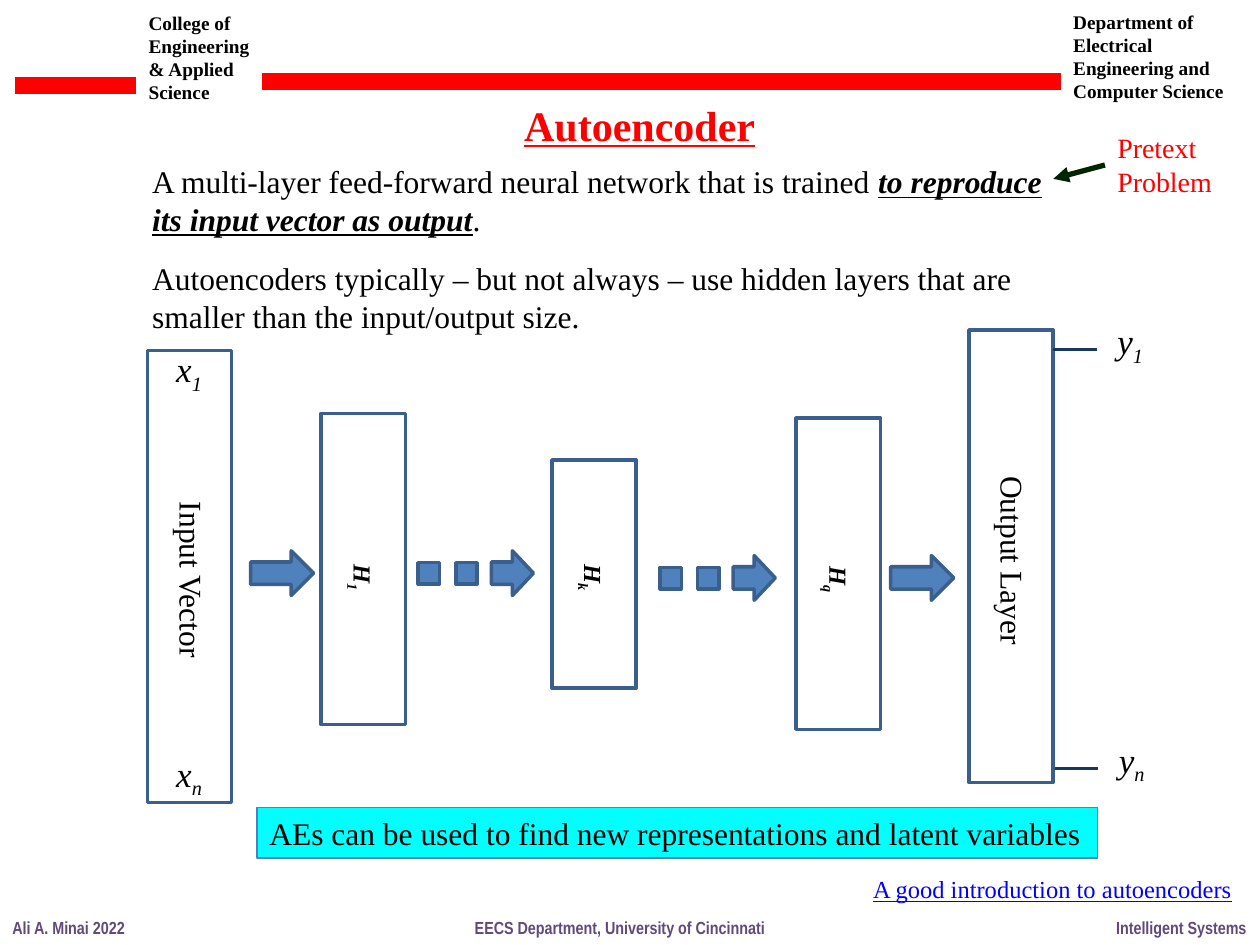
"""Build the Autoencoder lecture slide."""
from dataclasses import dataclass

from lxml import etree
from pptx import Presentation
from pptx import util as u
from pptx.dml.color import RGBColor
from pptx.enum import shapes, text
from pptx.oxml import ns

Pt = u.Pt


@dataclass(frozen=True)
class Theme:
    serif: str = "Times New Roman"
    narrow: str = "Arial Narrow"
    ink: str = "000000"
    red: str = "FF0000"
    footer: str = "604A7B"
    link: str = "0000FF"
    outline: str = "3A5F8C"
    block: str = "4F81BD"
    cyan: str = "00FFFF"
    stub: str = "17375E"
    pointer: str = "002600"
    title_size: float = 24
    symbol_size: float = 20
    body_size: float = 18
    callout_size: float = 16
    small_size: float = 14
    header_size: float = 11
    footer_size: float = 10


@dataclass(frozen=True)
class Span:
    text: str
    strong: bool = False
    sub: bool = False


@dataclass(frozen=True)
class Style:
    size: float
    color: str = "000000"
    font: str = "Times New Roman"
    bold: bool = False
    italic: bool = False
    underline: bool = False


@dataclass(frozen=True)
class Box:
    left: float
    top: float
    width: float
    height: float

    def lengths(self) -> tuple:
        return Pt(self.left), Pt(self.top), Pt(self.width), Pt(self.height)


@dataclass(frozen=True)
class Layer:
    box: Box
    label: list
    label_box: Box
    style: Style


@dataclass(frozen=True)
class Flow:
    left: float
    top: float
    dotted: bool


THEME = Theme()
HEADER = Style(THEME.header_size, bold=True)
FOOTER = Style(THEME.footer_size, THEME.footer, THEME.narrow, bold=True)
TITLE = Style(THEME.title_size, THEME.red, bold=True, underline=True)
BODY = Style(THEME.body_size)
SYMBOL = Style(THEME.symbol_size, italic=True)
HIDDEN = Style(THEME.small_size, bold=True, italic=True)
CALLOUT = Style(THEME.callout_size, THEME.red)
LINK = Style(THEME.small_size, THEME.link, underline=True)
LAYER_WIDTH = 48.2


def indexed(letter: str, index: str) -> list:
    """Return one paragraph holding a letter and its subscript."""
    return [[Span(letter), Span(index, sub=True)]]


def plain(*lines: str) -> list:
    """Return one single-span paragraph per line."""
    return [[Span(line)] for line in lines]


def write(frame, paragraphs: list, style: Style, wrap: bool = False, gap: float = 0) -> None:
    """Fill a text frame with styled paragraphs."""
    frame.word_wrap = wrap
    frame.auto_size = text.MSO_AUTO_SIZE.SHAPE_TO_FIT_TEXT
    for number, spans in enumerate(paragraphs):
        paragraph = frame.add_paragraph() if number else frame.paragraphs[0]
        paragraph.text = spans[0].text
        paragraph.alignment = text.PP_ALIGN.LEFT
        if number and gap:
            paragraph.space_before = Pt(gap)
        for span in spans[1:]:
            paragraph.add_run().text = span.text
        for span, run in zip(spans, paragraph.runs):
            font = run.font
            font.name, font.size = style.font, Pt(style.size)
            font.color.rgb = RGBColor.from_string(style.color)
            font.bold = style.bold or span.strong
            font.italic = style.italic or span.strong
            font.underline = style.underline or span.strong
            if span.sub:
                run._r.get_or_add_rPr().set("baseline", "-25000")


def add_text(slide, box: Box, paragraphs: list, style: Style, wrap: bool = False,
             gap: float = 0, rotation: float = 0) -> None:
    """Add a text box."""
    label = slide.shapes.add_textbox(*box.lengths())
    label.rotation = rotation
    write(label.text_frame, paragraphs, style, wrap, gap)


def add_block(slide, kind, box: Box, fill: str = "", line: str = THEME.outline, weight: float = 2):
    """Add an outlined preset shape, filled when a colour is given."""
    block = slide.shapes.add_shape(kind, *box.lengths())
    block.shadow.inherit = False
    if fill:
        block.fill.solid()
        block.fill.fore_color.rgb = RGBColor.from_string(fill)
    else:
        block.fill.background()
    block.line.color.rgb = RGBColor.from_string(line)
    block.line.width = Pt(weight)
    return block


def add_line(slide, start: tuple, end: tuple, color: str, weight: float, arrow: bool = False) -> None:
    """Add a straight line, with an arrowhead at its end on request."""
    line = slide.shapes.add_connector(shapes.MSO_CONNECTOR.STRAIGHT, *map(Pt, start + end))
    line.line.color.rgb = RGBColor.from_string(color)
    line.line.width = Pt(weight)
    if arrow:
        etree.SubElement(line.line._get_or_add_ln(), ns.qn("a:tailEnd"), type="triangle")
    etree.SubElement(line._element.spPr, ns.qn("a:effectLst"))


def add_layer(slide, layer: Layer) -> None:
    """Add a network layer with its turned label."""
    add_block(slide, shapes.MSO_SHAPE.RECTANGLE, layer.box)
    add_text(slide, layer.label_box, layer.label, layer.style, rotation=90)


def add_flow(slide, flow: Flow) -> None:
    """Add a block arrow, led by two squares when dotted."""
    width = 24 if flow.dotted else 36
    add_block(slide, shapes.MSO_SHAPE.RIGHT_ARROW, Box(flow.left, flow.top, width, 25.5), THEME.block)
    for offset in (41.8, 20.3) if flow.dotted else ():
        add_block(slide, shapes.MSO_SHAPE.RECTANGLE,
                  Box(flow.left - offset, flow.top + 6.8, 12.2, 12.2), THEME.block)


def add_frame(slide) -> None:
    """Add the header texts, red bars and footer."""
    add_text(slide, Box(77.8, 2.9, 78.5, 60.5),
             plain("College of Engineering & Applied", "Science"), HEADER, wrap=True)
    add_text(slide, Box(606.2, 2.2, 105.8, 60.5),
             plain("Department of Electrical Engineering and Computer Science"), HEADER, wrap=True)
    for left, right, y in ((8.6, 77.8, 49), (149.8, 606.2, 46.6)):
        add_line(slide, (left, y), (right, y), THEME.red, 10)
    for left, width, note in ((0, 79.2, "Ali A. Minai 2022"),
                              (264.2, 181.4, "EECS Department, University of Cincinnati"),
                              (630.7, 89.3, "Intelligent Systems")):
        add_text(slide, Box(left, 520.6, width, 19.4), plain(note), FOOTER)


def add_network(slide) -> None:
    """Add the layers, the flows between them and the vector symbols."""
    for layer in (
        Layer(Box(84.2, 200.2, LAYER_WIDTH, 258.5), plain("Input Vector"),
              Box(56.9, 318.2, 105.8, 28.8), BODY),
        Layer(Box(553.7, 188.6, LAYER_WIDTH, 258.5), plain("Output Layer"),
              Box(522.7, 306.7, 112.3, 28.8), BODY),
        Layer(Box(183.6, 236.2, LAYER_WIDTH, 177.8), indexed("H", "1"),
              Box(192.2, 318.2, 30.2, 24.5), HIDDEN),
        Layer(Box(315.4, 262.8, LAYER_WIDTH, 130.3), indexed("H", "k"),
              Box(324, 318.2, 30.2, 24.5), HIDDEN),
        Layer(Box(455, 239, LAYER_WIDTH, 177.8), indexed("H", "q"),
              Box(463.7, 319.7, 31, 24.5), HIDDEN),
    ):
        add_layer(slide, layer)
    for flow in (Flow(143.2, 314.8, False), Flow(280.8, 314.8, True),
                 Flow(419, 317.5, True), Flow(509, 317.5, False)):
        add_flow(slide, flow)
    for letter, index, left, top in (("x", "1", 93.6, 195.1), ("x", "n", 93.6, 426.2),
                                     ("y", "1", 631.4, 179.3), ("y", "n", 632.2, 418.3)):
        add_text(slide, Box(left, top, 30.2, 31.7), indexed(letter, index), SYMBOL)
    for left, y in ((602, 199.8), (602.6, 439.2)):
        add_line(slide, (left, y), (left + 25, y), THEME.stub, 1.5)


def add_message(slide) -> None:
    """Add the title, definition, callout, conclusion and reference."""
    title = slide.shapes.title
    title.left, title.top, title.width, title.height = Box(292.3, 53.3, 147.6, 36).lengths()
    write(title.text_frame, plain("Autoencoder"), TITLE)
    title.text_frame.vertical_anchor = text.MSO_ANCHOR.TOP
    definition = [Span("A multi-layer feed-forward neural network that is trained "),
                  Span("to reproduce its input vector as output", strong=True), Span(".")]
    sizes = [Span("Autoencoders typically – but not always – use hidden layers "
                  "that are smaller than the input/output size.")]
    add_text(slide, Box(79.9, 89.3, 543.6, 106.6), [definition, sizes], BODY, wrap=True, gap=12)
    add_text(slide, Box(631.4, 71.3, 69.1, 46.1), plain("Pretext", "Problem"), CALLOUT)
    add_line(slide, (631.4, 94.3), (601.9, 102.2), THEME.pointer, 3, arrow=True)
    conclusion = add_block(slide, shapes.MSO_SHAPE.RECTANGLE, Box(146.9, 461.5, 480.2, 28.8),
                           THEME.cyan, THEME.block, 0.75)
    write(conclusion.text_frame,
          plain("AEs can be used to find new representations and latent variables"), BODY)
    add_text(slide, Box(491.8, 496.1, 221, 24.5), plain("A good introduction to autoencoders"), LINK)


def main() -> None:
    """Create and save the presentation."""
    deck = Presentation()
    deck.slide_width, deck.slide_height = Pt(720), Pt(540)
    slide = deck.slides.add_slide(deck.slide_layouts[5])
    add_frame(slide)
    add_network(slide)
    add_message(slide)
    deck.save("out.pptx")


if __name__ == "__main__":
    main()
